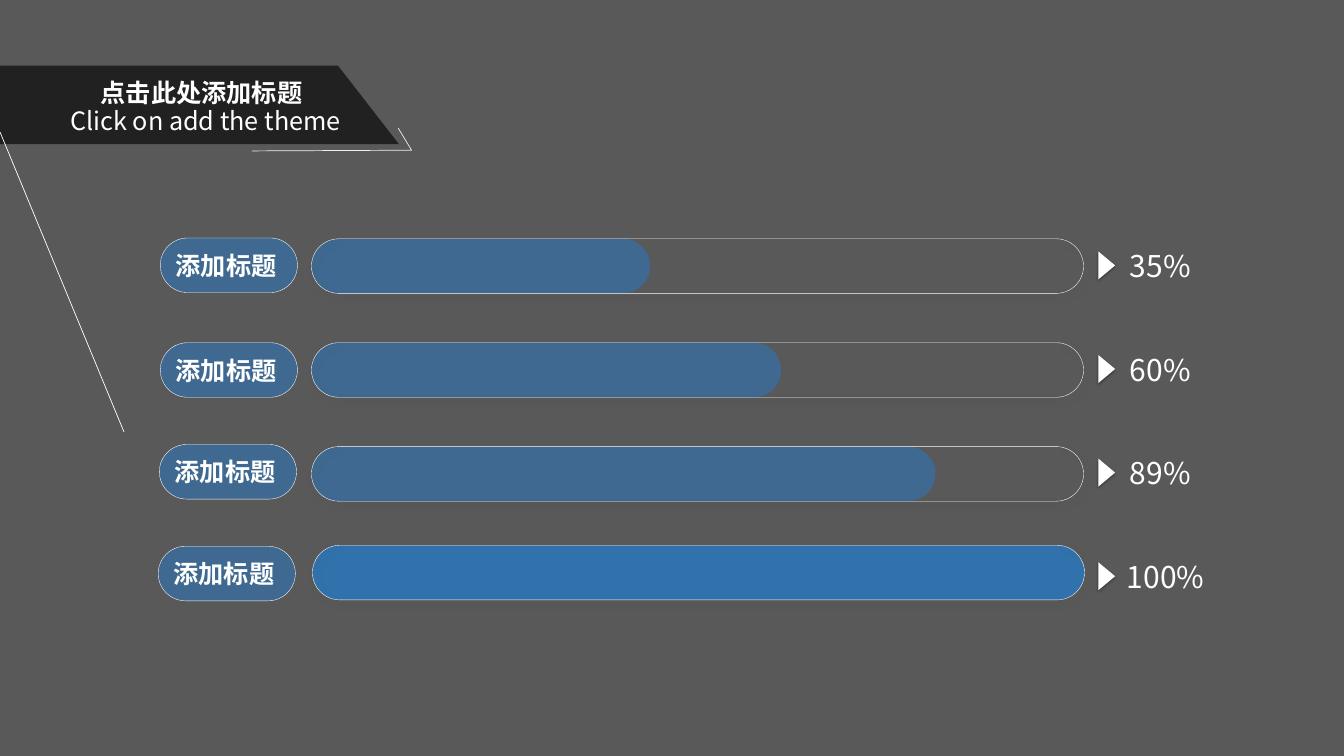
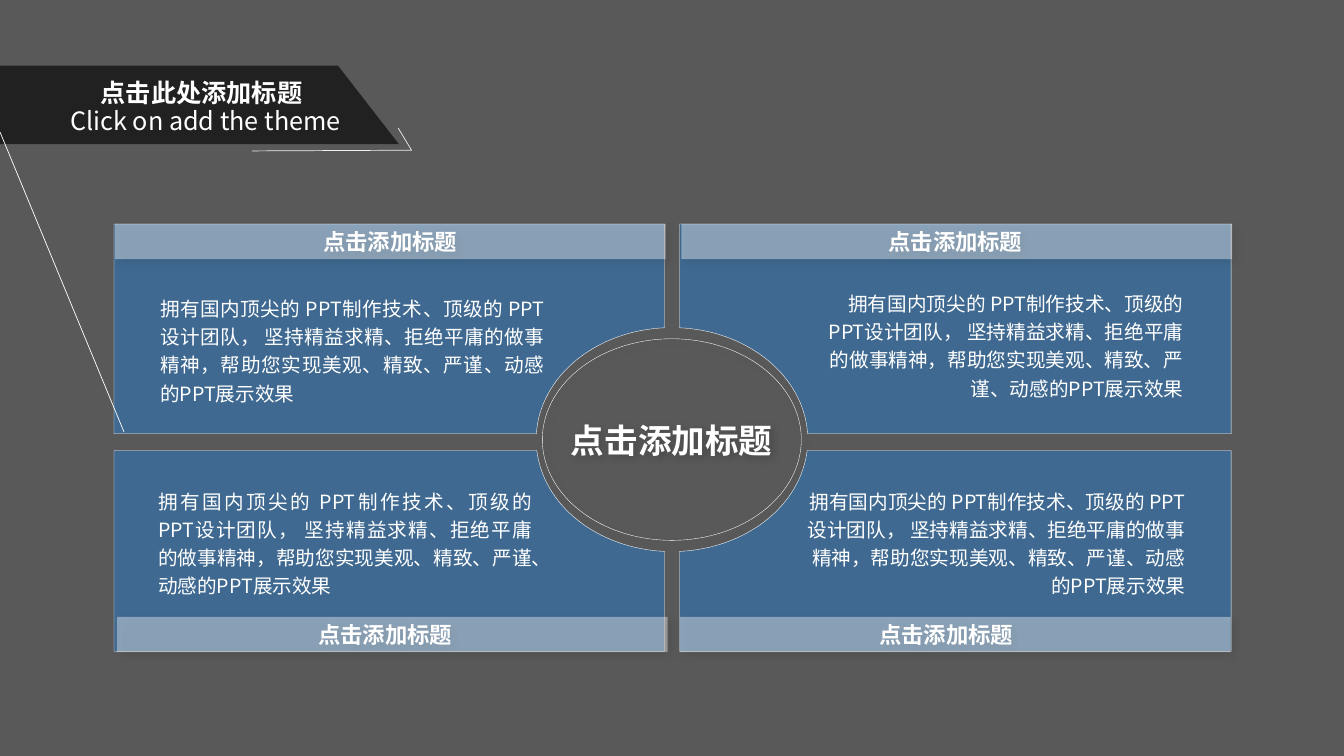
from dataclasses import dataclass
from math import acos, asin, cos, sin
from typing import NamedTuple, Optional

from lxml.etree import SubElement
from pptx import Presentation
from pptx.dml.color import RGBColor
from pptx.enum.shapes import MSO_CONNECTOR, MSO_SHAPE
from pptx.enum.text import MSO_ANCHOR, PP_ALIGN
from pptx.oxml.ns import qn
from pptx.util import Pt


@dataclass(frozen=True)
class Theme:
    backdrop: RGBColor = RGBColor(0x59, 0x59, 0x59)
    black: RGBColor = RGBColor(0, 0, 0)
    white: RGBColor = RGBColor(0xFF, 0xFF, 0xFF)
    blue: RGBColor = RGBColor(0x2E, 0x75, 0xB6)
    sans_sc: str = "Noto Sans CJK SC"
    sans_jp: str = "Noto Sans CJK JP"
    title: float = 18
    percent: float = 21.4
    heading: float = 16
    body: float = 14
    hub: float = 24
    hairline: float = 0.25
    rule: float = 0.5


class Box(NamedTuple):
    left: float
    top: float
    width: float
    height: float


class Shadow(NamedTuple):
    alpha: int
    blur: float
    distance: float
    angle: int


class Bar(NamedTuple):
    percent: str
    fill_width: float
    opacity: int
    track_left: float
    track_top: float
    pill_left: float
    pill_top: float
    percent_left: float


class Panel(NamedTuple):
    side_x: int
    side_y: int
    strip_left: float
    heading_inset: float
    body: Box
    align: PP_ALIGN


THEME = Theme()
SOFT = Shadow(20, 6, 3, 45)
TIGHT = Shadow(40, 2, 1, 90)

BAR_HEIGHT = 39
TRACK_WIDTH = 551.5
PILL_WIDTH = 98
ROW_PITCH = 74
BARS = [
    Bar("35%", 242, 60, 222.5, 170.6, 114.5, 170, 800),
    Bar("60%", 335.5, 60, 222.5, 244.8, 114.5, 244.8, 800),
    Bar("89%", 445.7, 60, 222.5, 319, 113.8, 317.5, 800),
    Bar("100%", TRACK_WIDTH, 90, 223.2, 389.5, 113, 390.2, 797.8),
]

HUB_X, HUB_Y = 480, 314
NOTCH_RX, NOTCH_RY = 97, 80
HALF_GAP = 5.4
ARC_STEPS = 32
STRIP_HEIGHT = 25.2
STRIP_WIDTH = 393.5
OUTER_X = {-1: 81.4, 1: 879.4}
OUTER_Y = {-1: 160, 1: 465.2}
INNER_Y = {-1: 309.8, 1: 321.8}
STRIP_TOP = {-1: 160, 1: 440.6}
BODY = ("拥有国内顶尖的 PPT制作技术、顶级的 PPT设计团队， 坚持精益求精、"
        "拒绝平庸的做事精神，帮助您实现美观、精致、严谨、动感的PPT展示效果")
PANELS = [
    Panel(-1, -1, 82.1, 0, Box(107.3, 205.2, 288.7, 88.6), PP_ALIGN.JUSTIFY),
    Panel(1, -1, 486.7, 2, Box(574.6, 201.6, 277.9, 88.6), PP_ALIGN.RIGHT),
    Panel(-1, 1, 83.5, 10, Box(105.8, 342.7, 281.5, 88.6), PP_ALIGN.JUSTIFY),
    Panel(1, 1, 485.6, 13, Box(563, 342.7, 290.9, 88.6), PP_ALIGN.RIGHT),
]


def set_alpha(parent, percent: int) -> None:
    color = parent.find(qn("a:solidFill")).find(qn("a:srgbClr"))
    SubElement(color, qn("a:alpha"), val=str(percent * 1000))


def style(sp, fill: Optional[RGBColor] = None, opacity: int = 100,
          line: Optional[float] = None, line_opacity: int = 100,
          shadow: Optional[Shadow] = None) -> None:
    props = sp.element.spPr
    if fill is None:
        sp.fill.background()
    else:
        sp.fill.solid()
        sp.fill.fore_color.rgb = fill
        if opacity < 100:
            set_alpha(props, opacity)
    if line is None:
        sp.line.fill.background()
    else:
        sp.line.color.rgb = THEME.white
        sp.line.width = Pt(line)
        if line_opacity < 100:
            set_alpha(props.find(qn("a:ln")), line_opacity)
    sp.shadow.inherit = False
    if shadow:
        outer = SubElement(
            props.find(qn("a:effectLst")), qn("a:outerShdw"),
            blurRad=str(Pt(shadow.blur)), dist=str(Pt(shadow.distance)),
            dir=str(shadow.angle * 60000), algn="tl", rotWithShape="0")
        color = SubElement(outer, qn("a:srgbClr"), val=str(THEME.black))
        SubElement(color, qn("a:alpha"), val=str(shadow.alpha * 1000))


def add_preset(s, kind: MSO_SHAPE, box: Box, **look):
    sp = s.shapes.add_shape(kind, *map(Pt, box))
    style(sp, **look)
    return sp


def add_capsule(s, box: Box, **look):
    sp = add_preset(s, MSO_SHAPE.ROUNDED_RECTANGLE, box, **look)
    sp.adjustments[0] = 0.5
    return sp


def add_outline(s, points: list[tuple[float, float]], closed: bool, **look):
    start, *rest = [(Pt(x), Pt(y)) for x, y in points]
    builder = s.shapes.build_freeform(*start, scale=1.0)
    builder.add_line_segments(rest, close=closed)
    sp = builder.convert_to_shape()
    style(sp, **look)
    return sp


def write(sp, text: str, size: float, font: str, bold: bool = False,
          align: PP_ALIGN = PP_ALIGN.LEFT, spacing: float = 1.0,
          anchor: MSO_ANCHOR = MSO_ANCHOR.TOP, wrap: bool = True,
          insets: tuple[float, float, float, float] = (7.2, 3.6, 7.2, 3.6)) -> None:
    tf = sp.text_frame
    tf.word_wrap = wrap
    tf.vertical_anchor = anchor
    tf.margin_left, tf.margin_top, tf.margin_right, tf.margin_bottom = map(Pt, insets)
    p = tf.paragraphs[0]
    p.text = text
    p.alignment = align
    p.line_spacing = spacing
    p.space_before = Pt(0)
    p.font.size = Pt(size)
    p.font.bold = bold
    p.font.color.rgb = THEME.white
    p.font.name = font
    props = p.font._element
    SubElement(props, qn("a:ea"), typeface=font)


def add_text(s, box: Box, text: str, size: float, font: str, **layout) -> None:
    write(s.shapes.add_textbox(*map(Pt, box)), text, size, font, **layout)


def write_centred(sp, text: str, size: float, font: str, right_inset: float = 0) -> None:
    write(sp, text, size, font, bold=True, align=PP_ALIGN.CENTER,
          anchor=MSO_ANCHOR.MIDDLE, wrap=False, insets=(0, 0, right_inset, 0))


def add_header(s) -> None:
    add_outline(s, [(0, 46.8), (241.4, 46.8), (285, 103), (0, 103)], True,
                fill=THEME.black, opacity=62)
    add_outline(s, [(284.4, 91.4), (294, 107.3), (180, 107.8)], False,
                line=THEME.rule, line_opacity=91)
    ray = s.shapes.add_connector(MSO_CONNECTOR.STRAIGHT, Pt(0), Pt(94.3), Pt(88.6), Pt(308.6))
    ray.line.color.rgb = THEME.white
    ray.line.width = Pt(THEME.rule)
    SubElement(ray.element.spPr, qn("a:effectLst"))

    title = s.shapes.title
    title.element.getparent().append(title.element)
    title.left, title.top, title.width, title.height = map(Pt, Box(64.8, 51.8, 170, 28.8))
    write(title, "点击此处添加标题", THEME.title, THEME.sans_sc, bold=True)
    add_text(s, Box(43.2, 72, 213, 28.8), "Click on add the theme", THEME.title, THEME.sans_sc)


def add_bar(s, row: int, bar: Bar) -> None:
    add_capsule(s, Box(bar.track_left, bar.track_top, bar.fill_width, BAR_HEIGHT),
                fill=THEME.blue, opacity=bar.opacity)
    add_capsule(s, Box(bar.track_left, bar.track_top, TRACK_WIDTH, BAR_HEIGHT),
                line=THEME.hairline, shadow=SOFT)
    pill = add_capsule(s, Box(bar.pill_left, bar.pill_top, PILL_WIDTH, BAR_HEIGHT),
                       fill=THEME.blue, opacity=60, line=THEME.hairline)
    write_centred(pill, "添加标题", THEME.title, THEME.sans_sc, right_inset=4)
    offset = row * ROW_PITCH
    marker = add_preset(s, MSO_SHAPE.ISOSCELES_TRIANGLE, Box(780.5, 183.6 + offset, 20, 12),
                        fill=THEME.white, shadow=TIGHT)
    marker.rotation = 90
    add_text(s, Box(bar.percent_left, 173.5 + offset, 72, 33), bar.percent,
             THEME.percent, THEME.sans_sc)


def panel_outline(panel: Panel) -> list[tuple[float, float]]:
    outer_x, outer_y = OUTER_X[panel.side_x], OUTER_Y[panel.side_y]
    inner_x, inner_y = HUB_X + panel.side_x * HALF_GAP, INNER_Y[panel.side_y]
    first = asin(abs(inner_y - HUB_Y) / NOTCH_RY)
    last = acos(HALF_GAP / NOTCH_RX)
    angles = [first + (last - first) * i / ARC_STEPS for i in range(ARC_STEPS + 1)]
    arc = [(HUB_X + panel.side_x * NOTCH_RX * cos(a),
            HUB_Y + panel.side_y * NOTCH_RY * sin(a)) for a in angles]
    return [(inner_x, outer_y), (outer_x, outer_y), (outer_x, inner_y), *arc]


def add_panel(s, panel: Panel) -> None:
    add_outline(s, panel_outline(panel), True,
                fill=THEME.blue, opacity=60, line=THEME.hairline)
    strip = add_preset(
        s, MSO_SHAPE.RECTANGLE,
        Box(panel.strip_left, STRIP_TOP[panel.side_y], STRIP_WIDTH, STRIP_HEIGHT),
        fill=THEME.white, opacity=40, shadow=SOFT)
    write_centred(strip, "点击添加标题", THEME.heading, THEME.sans_jp,
                  right_inset=panel.heading_inset)
    add_text(s, panel.body, BODY, THEME.body, THEME.sans_jp,
             align=panel.align, spacing=1.2)


def build_progress(prs) -> None:
    s = prs.slides.add_slide(prs.slide_layouts[5])
    add_header(s)
    for row, bar in enumerate(BARS):
        add_bar(s, row, bar)


def build_quadrants(prs) -> None:
    s = prs.slides.add_slide(prs.slide_layouts[5])
    hub = add_preset(s, MSO_SHAPE.OVAL, Box(387.4, 242, 185, 144),
                     line=THEME.hairline, shadow=SOFT)
    write_centred(hub, "点击添加标题", THEME.hub, THEME.sans_jp)
    for panel in PANELS:
        add_panel(s, panel)
    add_header(s)


def main() -> None:
    prs = Presentation()
    prs.slide_width, prs.slide_height = Pt(960), Pt(540)
    backdrop = prs.slide_master.background.fill
    backdrop.solid()
    backdrop.fore_color.rgb = THEME.backdrop
    build_progress(prs)
    build_quadrants(prs)
    prs.save("out.pptx")


if __name__ == "__main__":
    main()
